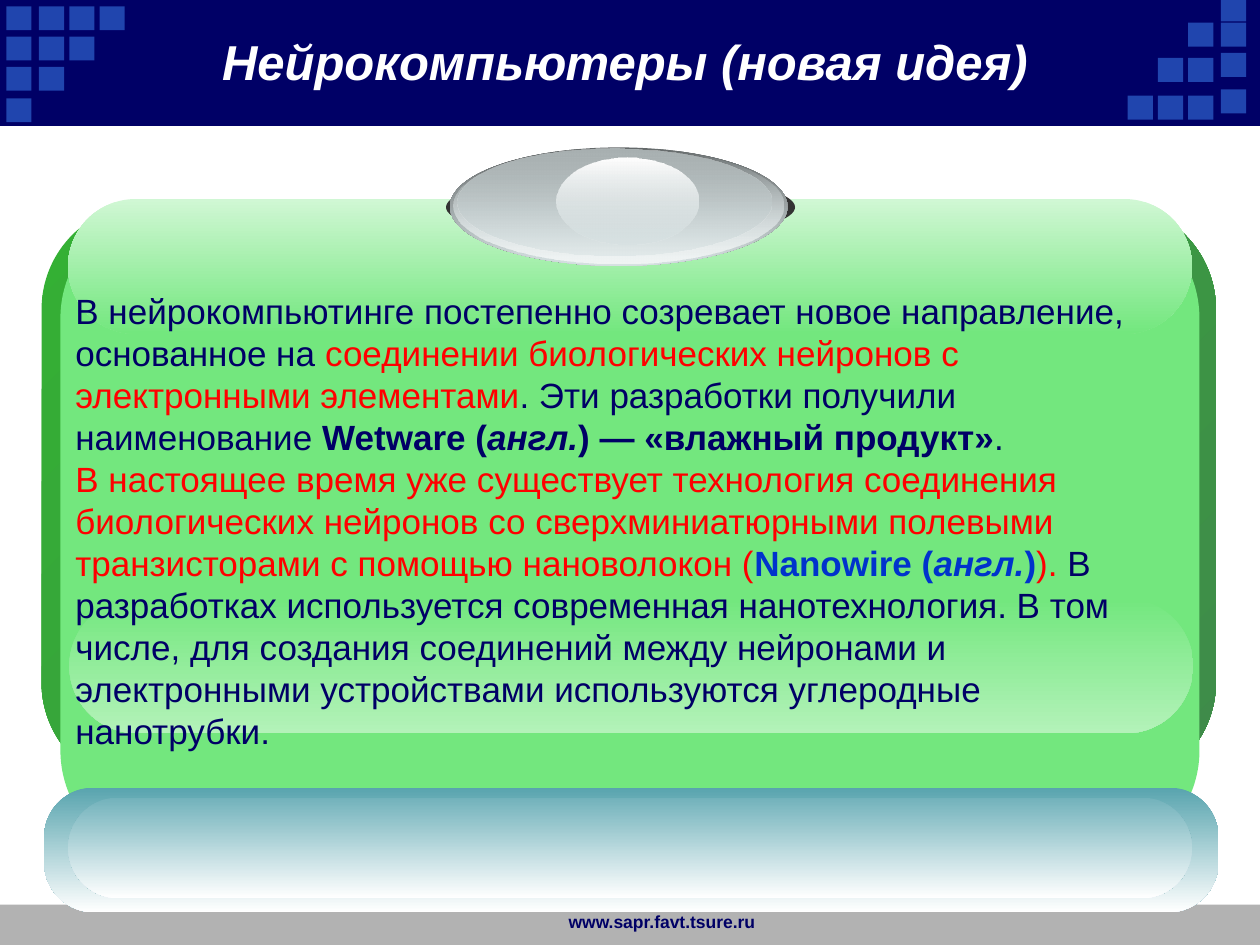
from dataclasses import dataclass
from typing import Optional

from lxml import etree
from pptx import Presentation, util as u
from pptx.dml.color import RGBColor
from pptx.enum import shapes as sh, text as tx
from pptx.oxml.ns import qn

COLS, ROWS = 100, 75
HEX = dict(
    navy="000066", square="2045AE", grey="B2B2B2", white="FFFFFF",
    red="FF0000", blue="0033CC", leaf="34B034", moss="3F8B4A",
    green="73E77E", mint="B3F2B9", pale="D0F7D4", black="333333",
    slate="636869", steel="AAB2B3", silver="D6E1E2", frost="F1F5F5",
    teal="58A4AE", aqua="72B2BB",
)
RECT = sh.MSO_SHAPE.RECTANGLE
ROUND = sh.MSO_SHAPE.ROUNDED_RECTANGLE
OVAL = sh.MSO_SHAPE.OVAL

prs = Presentation()
prs.slide_width, prs.slide_height = u.Inches(10), u.Inches(7.5)


@dataclass
class Box:
    """Left, top, width and height in grid columns and rows."""
    x: float
    y: float
    w: float
    h: float

    def emu(self) -> tuple:
        col, row = prs.slide_width / COLS, prs.slide_height / ROWS
        return tuple(round(n) for n in
                     (self.x * col, self.y * row, self.w * col, self.h * row))


@dataclass
class Stop:
    color: str
    alpha: Optional[int] = None


@dataclass
class Part:
    kind: sh.MSO_SHAPE
    box: Box
    stops: tuple
    curve: Optional[float] = None
    angle: int = 90


def rgb(name: str) -> RGBColor:
    return RGBColor.from_string(HEX[name])


def blend(fill, stops: tuple, angle: int) -> None:
    """Two-stop gradient; the angle runs clockwise."""
    fill.gradient()
    fill.gradient_angle = 360 - angle
    nodes = fill.gradient_stops
    for node, stop in zip(nodes, stops):
        node.color.rgb = rgb(stop.color)
    tags = fill._xPr.iter(qn("a:srgbClr"))
    for tag, stop in zip(tags, stops):
        if stop.alpha is not None:
            etree.SubElement(tag, qn("a:alpha"), val=str(stop.alpha * 1000))


def draw(slide, part: Part) -> None:
    shape = slide.shapes.add_shape(part.kind, *part.box.emu())
    shape.shadow.inherit = False
    shape.line.fill.background()
    if part.curve is not None:
        shape.adjustments[0] = part.curve
    if len(part.stops) == 1:
        shape.fill.solid()
        shape.fill.fore_color.rgb = rgb(part.stops[0].color)
    else:
        blend(shape.fill, part.stops, part.angle)


def write(para, words: str, size: float, color: str = "navy",
          bold: bool = False, italic: bool = False) -> None:
    run = para.add_run()
    run.text = words
    font = run.font
    font.name, font.size = "Arial", u.Pt(size)
    font.bold, font.italic = bold, italic
    font.color.rgb = rgb(color)


def label(slide, box: Box):
    frame = slide.shapes.add_textbox(*box.emu()).text_frame
    frame.word_wrap = True
    return frame


def squares(slide) -> None:
    """Stepped corners: each column is its left edge and its tops."""
    left, right = (0.5, 2.9, 5.3, 7.8), (7.6, 4.6, 1.8)
    steps = [(x, left[:4 - i]) for i, x in enumerate((0.5, 3.1, 5.5, 7.9))]
    steps += [(x, right[:3 - i]) for i, x in enumerate((94.3, 91.9, 89.5))]
    steps.append((96.9, (7.1, 4.2, 1.8, -0.2)))
    for x, tops in steps:
        for y in tops:
            draw(slide, Part(RECT, Box(x, y, 2, 1.9), (Stop("square"),)))


PARTS = (
    Part(ROUND, Box(3.3, 16.2, 93.2, 46.3),
         (Stop("leaf"), Stop("moss")), 0.18, 45),
    Part(ROUND, Box(4.8, 16.4, 90.4, 52), (Stop("green"),), 0.17),
    Part(ROUND, Box(5.5, 47.5, 89.2, 10.7),
         (Stop("green"), Stop("mint")), 0.5),
    Part(ROUND, Box(5.4, 15.8, 89.2, 10.7),
         (Stop("pale"), Stop("green")), 0.5),
    Part(OVAL, Box(35.4, 13.8, 27.7, 5.3), (Stop("black"),)),
    Part(OVAL, Box(35.7, 11.7, 26.8, 9.4), (Stop("slate"), Stop("silver"))),
    Part(OVAL, Box(36, 11.7, 26.2, 9.2), (Stop("silver", 0), Stop("frost"))),
    Part(OVAL, Box(36.3, 11.8, 24.9, 8.5),
         (Stop("steel"), Stop("silver", 48))),
    Part(OVAL, Box(44.2, 12.5, 11.2, 6.9),
         (Stop("white"), Stop("silver", 38))),
    Part(ROUND, Box(3.5, 62.5, 93.2, 9.9),
         (Stop("teal"), Stop("white")), 0.4),
    Part(ROUND, Box(5.4, 63.3, 89.2, 8),
         (Stop("aqua"), Stop("white")), 0.5),
)
BOLD = dict(bold=True)
SLANT = dict(bold=True, italic=True)
RED, BLUE = dict(color="red"), dict(color="blue")
BODY = (
    (("В нейрокомпьютинге постепенно созревает новое направление, "
      "основанное на ", {}),
     ("соединении биологических нейронов с электронными элементами", RED),
     (". Эти разработки получили наименование ", {}),
     ("Wetware (", BOLD), ("англ.", SLANT),
     (") — «влажный продукт»", BOLD), (".", {})),
    (("В настоящее время уже существует технология соединения "
      "биологических нейронов со сверхминиатюрными полевыми "
      "транзисторами с помощью нановолокон (", RED),
     ("Nanowire (", BLUE | BOLD), ("англ.", BLUE | SLANT),
     (")", BLUE | BOLD), ("). ", RED),
     ("В разработках используется современная нанотехнология. В том "
      "числе, для создания соединений между нейронами и электронными "
      "устройствами используются углеродные нанотрубки.", {})),
)


def main() -> None:
    slide = prs.slides.add_slide(prs.slide_layouts[5])
    draw(slide, Part(RECT, Box(0, 71.8, COLS, 3.2), (Stop("grey"),)))
    draw(slide, Part(RECT, Box(0, 0, COLS, 10), (Stop("navy"),)))
    squares(slide)

    foot = label(slide, Box(41.7, 71.8, 19.2, 3.2)).paragraphs[0]
    foot.alignment = tx.PP_ALIGN.RIGHT
    write(foot, "www.sapr.favt.tsure.ru", 10, bold=True)

    for part in PARTS:
        draw(slide, part)

    title = slide.shapes.title
    title.left, title.top, title.width, title.height = Box(
        9.2, 1.7, 80.8, 6.2).emu()
    slide.shapes.element.append(title.element)
    title.text_frame.vertical_anchor = tx.MSO_ANCHOR.MIDDLE
    head = title.text_frame.paragraphs[0]
    head.alignment = tx.PP_ALIGN.CENTER
    write(head, "Нейрокомпьютеры (новая идея)", 28, "white", **SLANT)

    frame = label(slide, Box(5, 22.5, 90, 41.4))
    for i, runs in enumerate(BODY):
        para = frame.add_paragraph() if i else frame.paragraphs[0]
        for words, style in runs:
            write(para, words, 20, **style)


if __name__ == "__main__":
    main()
    prs.save("out.pptx")
